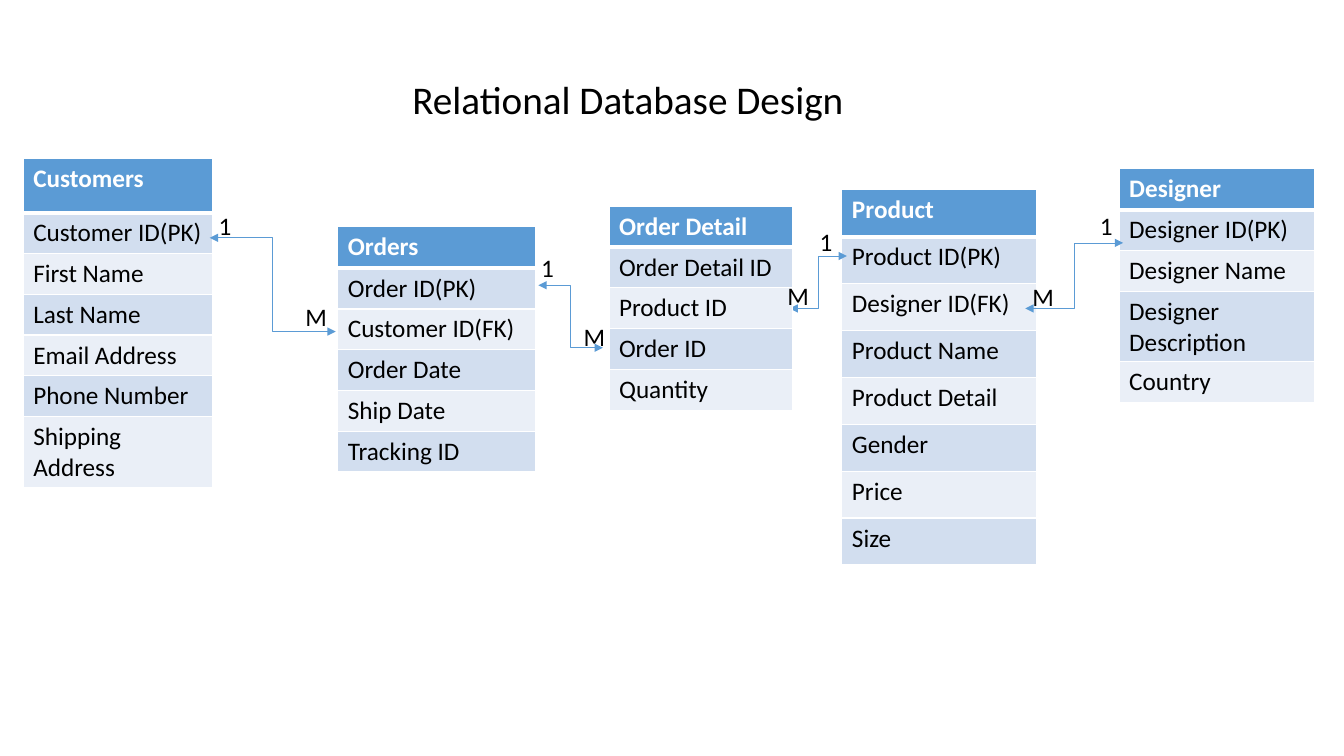
"""Build the relational database design slide."""
from dataclasses import dataclass

from lxml import etree
from pptx import Presentation
from pptx import util as u
from pptx.dml.color import RGBColor
from pptx.enum import shapes, text
from pptx.oxml.ns import qn


@dataclass(frozen=True)
class Theme:
    font: str = "Calibri"
    title_size: float = 28
    body_size: float = 18
    line_width: float = 0.5
    border_width: float = 1
    header_border: float = 3
    accent: str = "5B9BD5"
    bands: tuple = ("D2DEEF", "EAEFF7")
    white: str = "FFFFFF"
    black: str = "000000"


class Diagram:
    def __init__(self, slide, theme):
        self.slide = slide
        self.theme = theme

    def style(self, text_frame, size, color, bold=False):
        for paragraph in text_frame.paragraphs:
            paragraph.alignment = text.PP_ALIGN.LEFT
            for run in paragraph.runs:
                run.font.name = self.theme.font
                run.font.size = u.Pt(size)
                run.font.bold = bold
                run.font.color.rgb = RGBColor.from_string(color)

    def fit(self, shape, wording, size):
        frame = shape.text_frame
        frame.text = wording
        frame.word_wrap = False
        frame.auto_size = text.MSO_AUTO_SIZE.SHAPE_TO_FIT_TEXT
        frame.vertical_anchor = text.MSO_ANCHOR.TOP
        self.style(frame, size, self.theme.black)

    def title(self, wording, left, top, width, height):
        title = self.slide.shapes.title
        title.left, title.top = u.Inches(left), u.Inches(top)
        title.width, title.height = u.Inches(width), u.Inches(height)
        self.fit(title, wording, self.theme.title_size)

    def label(self, wording, left, top):
        width = 0.42 if wording == "M" else 0.33
        box = self.slide.shapes.add_textbox(
            u.Inches(left), u.Inches(top), u.Inches(width), u.Inches(0.4))
        self.fit(box, wording, self.theme.body_size)

    def border(self, cell, side, width):
        properties = cell._tc.get_or_add_tcPr()
        line = etree.SubElement(properties, qn(f"a:ln{side}"), w=str(u.Pt(width)))
        fill = etree.SubElement(line, qn("a:solidFill"))
        etree.SubElement(fill, qn("a:srgbClr"), val=self.theme.white)

    def entity(self, name, fields, left, top, width, header_height, row_height):
        theme = self.theme
        rows = [name, *fields]
        height = header_height + row_height * len(fields)
        table = self.slide.shapes.add_table(
            len(rows), 1, u.Inches(left), u.Inches(top),
            u.Inches(width), u.Inches(height)).table
        for index, wording in enumerate(rows):
            header = index == 0
            table.rows[index].height = u.Inches(header_height if header else row_height)
            cell = table.cell(index, 0)
            cell.text_frame.text = wording
            self.style(cell.text_frame, theme.body_size,
                       theme.white if header else theme.black, header)
            for side in "LRTB":
                heavy = (index, side) in ((0, "B"), (1, "T"))
                self.border(cell, side, theme.header_border if heavy else theme.border_width)
            cell.fill.solid()
            color = theme.accent if header else theme.bands[(index - 1) % 2]
            cell.fill.fore_color.rgb = RGBColor.from_string(color)

    def relation(self, *points):
        connector = self.slide.shapes.add_connector(
            shapes.MSO_CONNECTOR.ELBOW, *(u.Inches(value) for value in points))
        connector.line.color.rgb = RGBColor.from_string(self.theme.accent)
        connector.line.width = u.Pt(self.theme.line_width)
        properties = connector._element.spPr
        line = properties.find(qn("a:ln"))
        for end in ("headEnd", "tailEnd"):
            etree.SubElement(line, qn(f"a:{end}"), type="triangle")
        etree.SubElement(properties, qn("a:effectLst"))


ENTITIES = (
    ("Product", ("Product ID(PK)", "Designer ID(FK)", "Product Name", "Product Detail",
                 "Gender", "Price", "Size"), 8.35, 1.88, 1.93, 0.47, 0.465),
    ("Customers", ("Customer ID(PK)", "First Name", "Last Name", "Email Address",
                   "Phone Number", "Shipping Address"), 0.23, 1.57, 1.88, 0.54, 0.405),
    ("Orders", ("Order ID(PK)", "Customer ID(FK)", "Order Date", "Ship Date",
                "Tracking ID"), 3.35, 2.25, 1.96, 0.41, 0.405),
    ("Designer", ("Designer ID(PK)", "Designer Name", "Designer Description",
                  "Country"), 11.1, 1.67, 1.94, 0.41, 0.405),
)
ORDER_DETAIL = ("Order Detail", ("Order Detail ID", "Product ID", "Order ID", "Quantity"),
                6.04, 2.05, 1.82, 0.4, 0.405)
RELATIONS = ((2.08, 2.36, 3.33, 3.29), (7.83, 3.06, 8.4, 2.54), (11.14, 2.41, 10.17, 3.06))
ORDER_RELATION = (5.34, 2.83, 5.98, 3.45)
CARDINALITIES = {
    "1": ((2.07, 2.04), (10.81, 2.04), (5.27, 2.45), (8.03, 2.2)),
    "M": ((2.93, 2.94), (10.14, 2.74), (5.69, 3.14), (7.71, 2.73)),
}


def main():
    presentation = Presentation()
    presentation.slide_width, presentation.slide_height = u.Inches(13.33), u.Inches(7.5)
    slide = presentation.slides.add_slide(presentation.slide_layouts.get_by_name("Title Only"))
    diagram = Diagram(slide, Theme())
    diagram.title("Relational Database Design", 3.99, 0.7, 4.52, 0.57)
    for entity in ENTITIES:
        diagram.entity(*entity)
    for relation in RELATIONS:
        diagram.relation(*relation)
    diagram.entity(*ORDER_DETAIL)
    diagram.relation(*ORDER_RELATION)
    for wording, places in CARDINALITIES.items():
        for left, top in places:
            diagram.label(wording, left, top)
    presentation.save("out.pptx")


main()
